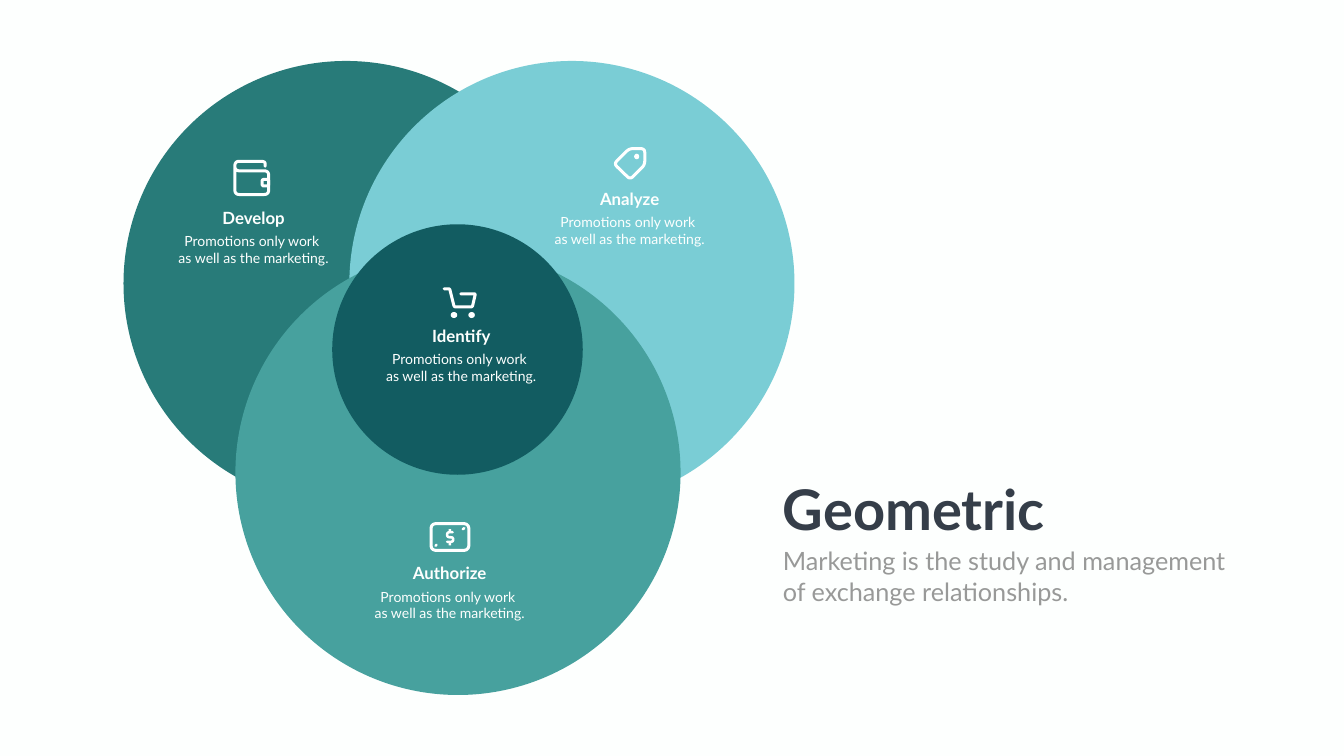
from math import hypot

from pptx import Presentation
from pptx.dml.color import RGBColor
from pptx.enum.shapes import MSO_SHAPE
from pptx.enum.text import MSO_AUTO_SIZE, PP_ALIGN
from pptx.oxml.ns import qn
from pptx.util import Pt

PX = 9144  # 100 px to the inch
FONT = "Lato"
COLORS = {
    "paper": "FDFFFE",
    "develop": "287B79",
    "analyze": "7ACDD5",
    "authorize": "47A19E",
    "identify": "125C61",
    "icon": "FFFFFF",
    "title": "353E49",
    "subtitle": "989998",
}
CIRCLES = [  # color, left, top, diameter
    ("develop", 245, 121, 883),
    ("analyze", 693, 121, 883),
    ("authorize", 467, 496, 883),
    ("identify", 659, 445, 497),
]
LABELS = [  # heading, center, top
    ("Identify", 915, 641),
    ("Analyze", 1249, 369),
    ("Authorize", 892, 1112),
    ("Develop", 503, 407),
]
PROMOTION = ["Promotions only work ", "as well as the marketing."]


def color(name):
    return RGBColor.from_string(COLORS[name])


def add_solid(page, kind, fill, left, top, width, height):
    shape = page.shapes.add_shape(kind, left * PX, top * PX, width * PX, height * PX)
    shape.shadow.inherit = False
    shape.fill.solid()
    shape.fill.fore_color.rgb = color(fill)
    shape.line.fill.background()
    return shape


def style_stroke(shape, width):
    shape.shadow.inherit = False
    shape.fill.background()
    shape.line.color.rgb = color("icon")
    shape.line.width = width * PX
    shape.element.spPr.find(qn("a:ln")).set("cap", "rnd")


def add_frame(page, left, top, width, height, radius, stroke):
    """Rounded outline, measured along the middle of its stroke."""
    shape = page.shapes.add_shape(
        MSO_SHAPE.ROUNDED_RECTANGLE, left * PX, top * PX, width * PX, height * PX)
    shape.adjustments[0] = radius / min(width, height)
    style_stroke(shape, stroke)


def round_corners(points, radius, steps=6):
    """Replace each inner corner by a sampled quadratic curve."""
    rounded = [points[0]]
    for before, corner, after in zip(points, points[1:], points[2:]):
        ends = []
        for other in (before, after):
            dx, dy = other[0] - corner[0], other[1] - corner[1]
            length = hypot(dx, dy)
            cut = min(radius, length / 2) / length
            ends.append((corner[0] + dx * cut, corner[1] + dy * cut))
        for step in range(steps + 1):
            t = step / steps
            rounded.append(tuple(
                (1 - t) ** 2 * a + 2 * t * (1 - t) * b + t ** 2 * c
                for a, b, c in zip(ends[0], corner, ends[1])))
    return rounded + [points[-1]]


def add_stroke(page, points, radius, stroke, close=False):
    outline = [(x * PX, y * PX) for x, y in round_corners(points, radius)]
    builder = page.shapes.build_freeform(*outline[0])
    builder.add_line_segments(outline[1:], close=close)
    style_stroke(builder.convert_to_shape(), stroke)


def add_text(page, lines, left, top, width, height, size, fill,
             bold=False, align=PP_ALIGN.LEFT, wrap=True):
    box = page.shapes.add_textbox(left * PX, top * PX, width * PX, height * PX)
    frame = box.text_frame
    frame.word_wrap = wrap
    frame.auto_size = MSO_AUTO_SIZE.SHAPE_TO_FIT_TEXT
    for index, line in enumerate(lines):
        para = frame.add_paragraph() if index else frame.paragraphs[0]
        para.text = line
        para.alignment = align
        para.font.name = FONT
        para.font.size = Pt(size)
        para.font.bold = bold
        para.font.color.rgb = color(fill)


def add_label(page, heading, center, top):
    add_text(page, [heading], center - 126, top, 252, 50, 24, "paper",
             bold=True, align=PP_ALIGN.CENTER)
    add_text(page, PROMOTION, center - 224, top + 50, 448, 77, 20, "paper",
             align=PP_ALIGN.CENTER)


def add_banknote(page):
    add_frame(page, 855, 1039, 75, 53, 9, 6)
    add_stroke(page, [(898, 1056), (887, 1056), (887, 1066),
                      (899, 1066), (899, 1075), (887, 1075)], 5, 5)
    for top in (1050, 1076):
        add_solid(page, MSO_SHAPE.RECTANGLE, "icon", 890, top, 5, 6)
    add_stroke(page, [(918, 1050), (921, 1048)], 0, 5)
    add_stroke(page, [(864, 1083), (866, 1081)], 0, 5)


def add_wallet(page):
    add_frame(page, 520, 356, 13, 13, 3, 6)
    add_stroke(page, [(466, 331), (466, 386), (533, 386), (533, 339),
                      (466, 339), (466, 320), (526, 320), (526, 330)], 9, 6)


def add_tag(page):
    add_stroke(page, [(1263, 295), (1279, 295), (1279, 327), (1250, 356),
                      (1218, 325), (1248, 295), (1263, 295)], 8, 6, close=True)
    add_solid(page, MSO_SHAPE.OVAL, "icon", 1258, 305, 10, 11)


def add_cart(page):
    add_stroke(page, [(881, 573), (892, 573), (901, 609),
                      (937, 609), (943, 583), (914, 583)], 3, 6)
    for left in (894, 929):
        add_solid(page, MSO_SHAPE.OVAL, "icon", left, 619, 13, 12)


def main():
    deck = Presentation()
    deck.slide_width, deck.slide_height = 2666 * PX, 1500 * PX
    page = deck.slides.add_slide(deck.slide_layouts[6])
    page.background.fill.solid()
    page.background.fill.fore_color.rgb = color("paper")

    # Overlapping circles
    for fill, left, top, diameter in CIRCLES:
        add_solid(page, MSO_SHAPE.OVAL, fill, left, top, diameter, diameter)

    # Icons
    add_banknote(page)
    add_wallet(page)
    add_tag(page)
    add_cart(page)

    # Circle labels
    for heading, center, top in LABELS:
        add_label(page, heading, center, top)

    # Title and subtitle
    add_text(page, ["Geometric"], 1543, 936, 549, 145, 80, "title",
             bold=True, wrap=False)
    add_text(page, ["Marketing is the study and management",
                    "of exchange relationships."],
             1543, 1078, 974, 131, 36, "subtitle")

    deck.save("out.pptx")


if __name__ == "__main__":
    main()
